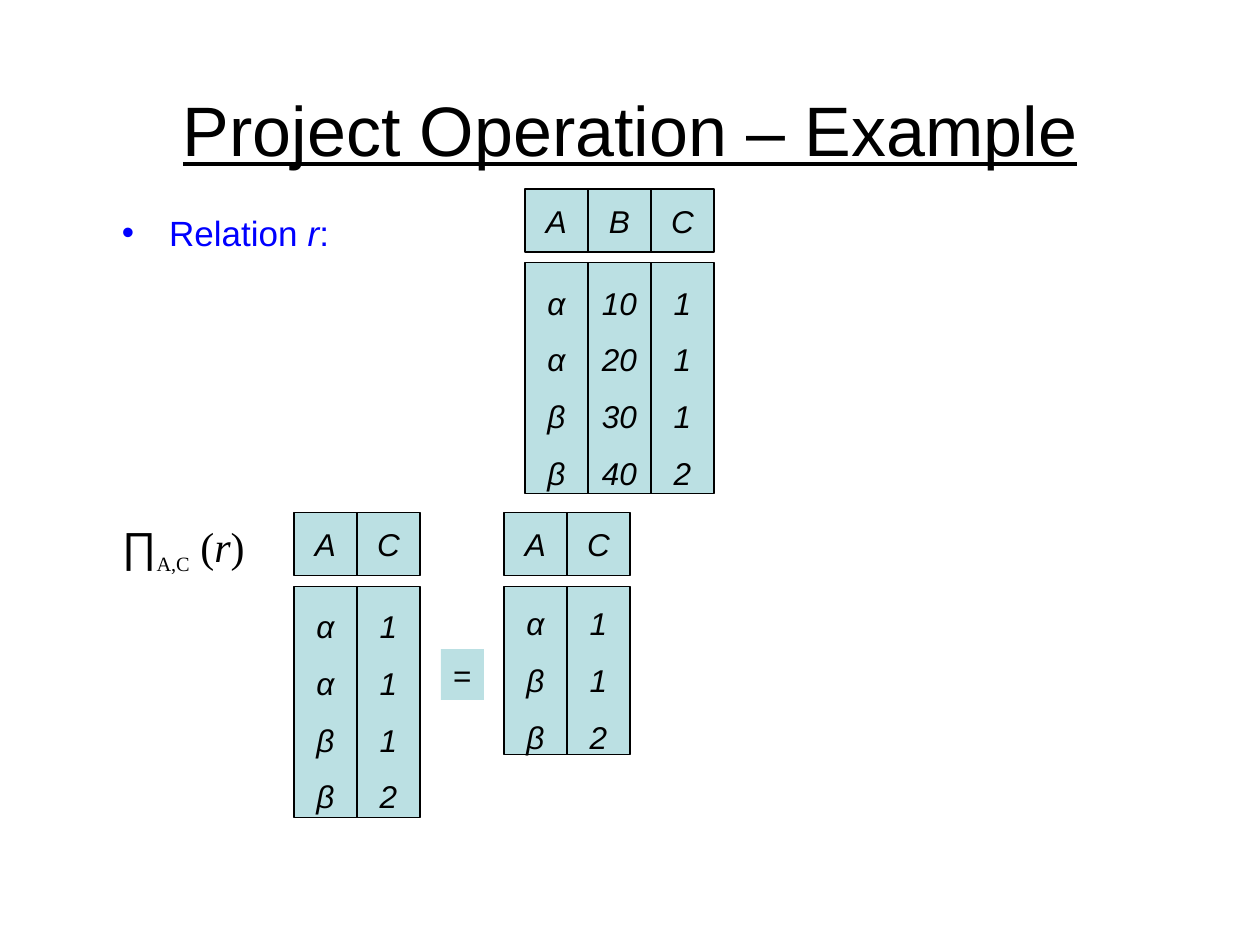
from lxml.etree import SubElement
from pptx import Presentation
from pptx.dml.color import RGBColor
from pptx.enum.shapes import MSO_SHAPE
from pptx.enum.text import MSO_ANCHOR, PP_ALIGN
from pptx.oxml.ns import qn
from pptx.util import Pt

BLACK, BLUE, TEAL = "000000", "0000FF", "BBE0E3"
CELL, GAP, ROW, ROW_TRIM = 36, 6, 36, 12

TITLE = "Project Operation – Example"
BULLET = [("Relation", False), (" r", True), (":", False)]
FORMULA = [
    ("∏", "Arial", 24, False, 0),
    ("A,C", "Times New Roman", 20, False, -25000),
    (" (", "Times New Roman", 24, False, 0),
    ("r", "Times New Roman", 24, True, 0),
    (")", "Times New Roman", 24, False, 0),
]
RELATION = (300, 108, {"A": "ααββ", "B": ["10", "20", "30", "40"], "C": "1112"})
PROJECTED = (168, 293, {"A": "ααββ", "C": "1112"})
DISTINCT = (288, 293, {"A": "αββ", "C": "112"})


def color(value):
    return RGBColor.from_string(value)


def set_font(font, size, ink=BLACK, name="Arial"):
    font.name, font.size = name, Pt(size)
    font.color.rgb = color(ink)


def add_cell(group, left, top, width, height, lines, spacing=1.0,
             italic=True, outlined=True):
    cell = group.shapes.add_shape(
        MSO_SHAPE.RECTANGLE, Pt(left), Pt(top), Pt(width), Pt(height))
    cell.shadow.inherit = False
    cell.fill.solid()
    cell.fill.fore_color.rgb = color(TEAL)
    if outlined:
        cell.line.color.rgb = color(BLACK)
        cell.line.width = Pt(0.75)
    else:
        cell.line.fill.background()
    frame = cell.text_frame
    frame.word_wrap = False
    frame.vertical_anchor = MSO_ANCHOR.MIDDLE
    frame.text = "\n".join(lines)
    for para in frame.paragraphs:
        para.alignment = PP_ALIGN.CENTER
        para.line_spacing = spacing
        set_font(para.font, 18)
        para.font.italic = italic


def add_relation(group, left, top, columns):
    for index, (heading, values) in enumerate(columns.items()):
        x = left + index * CELL
        add_cell(group, x, top, CELL, CELL, [heading])
        add_cell(group, x, top + CELL + GAP, CELL,
                 ROW * len(values) - ROW_TRIM, values, spacing=1.5)


def add_text(page, left, top, width, height):
    box = page.shapes.add_textbox(Pt(left), Pt(top), Pt(width), Pt(height))
    box.text_frame.word_wrap = True
    return box.text_frame.paragraphs[0]


def add_bullet(para, indent, ink):
    props = para._p.get_or_add_pPr()
    props.set("marL", str(Pt(indent)))
    props.set("indent", str(-Pt(indent)))
    tint = SubElement(props, qn("a:buClr"))
    SubElement(tint, qn("a:srgbClr")).set("val", ink)
    SubElement(props, qn("a:buFont")).set("typeface", "Arial")
    SubElement(props, qn("a:buChar")).set("char", "•")


def main():
    deck = Presentation()
    deck.slide_width, deck.slide_height = Pt(720), Pt(540)
    page = deck.slides.add_slide(deck.slide_layouts[5])

    title = page.shapes.title
    title.left, title.top, title.width, title.height = Pt(36), Pt(45.4), Pt(648), Pt(56)
    title.text_frame.text = TITLE
    title.text_frame.vertical_anchor = MSO_ANCHOR.MIDDLE
    heading = title.text_frame.paragraphs[0]
    heading.alignment = PP_ALIGN.CENTER
    set_font(heading.font, 40)
    heading.font.underline = True

    bullet = add_text(page, 62.6, 117.4, 540, 32.4)
    add_bullet(bullet, 27, BLUE)
    set_font(bullet.font, 20, BLUE)
    for text, italic in BULLET:
        span = bullet.add_run()
        span.text = text
        span.font.italic = italic

    add_relation(page.shapes.add_group_shape(), *RELATION)
    result = page.shapes.add_group_shape()
    add_relation(result, *PROJECTED)
    add_cell(result, 252, 371, 24.5, 29, ["="], italic=False, outlined=False)
    add_relation(result, *DISTINCT)

    formula = add_text(page, 62.6, 293.8, 553.7, 32.4)
    for text, name, size, italic, baseline in FORMULA:
        span = formula.add_run()
        span.text = text
        set_font(span.font, size, name=name)
        span.font.italic = italic
        if baseline:
            span._r.get_or_add_rPr().set("baseline", str(baseline))

    deck.save("out.pptx")


if __name__ == "__main__":
    main()
